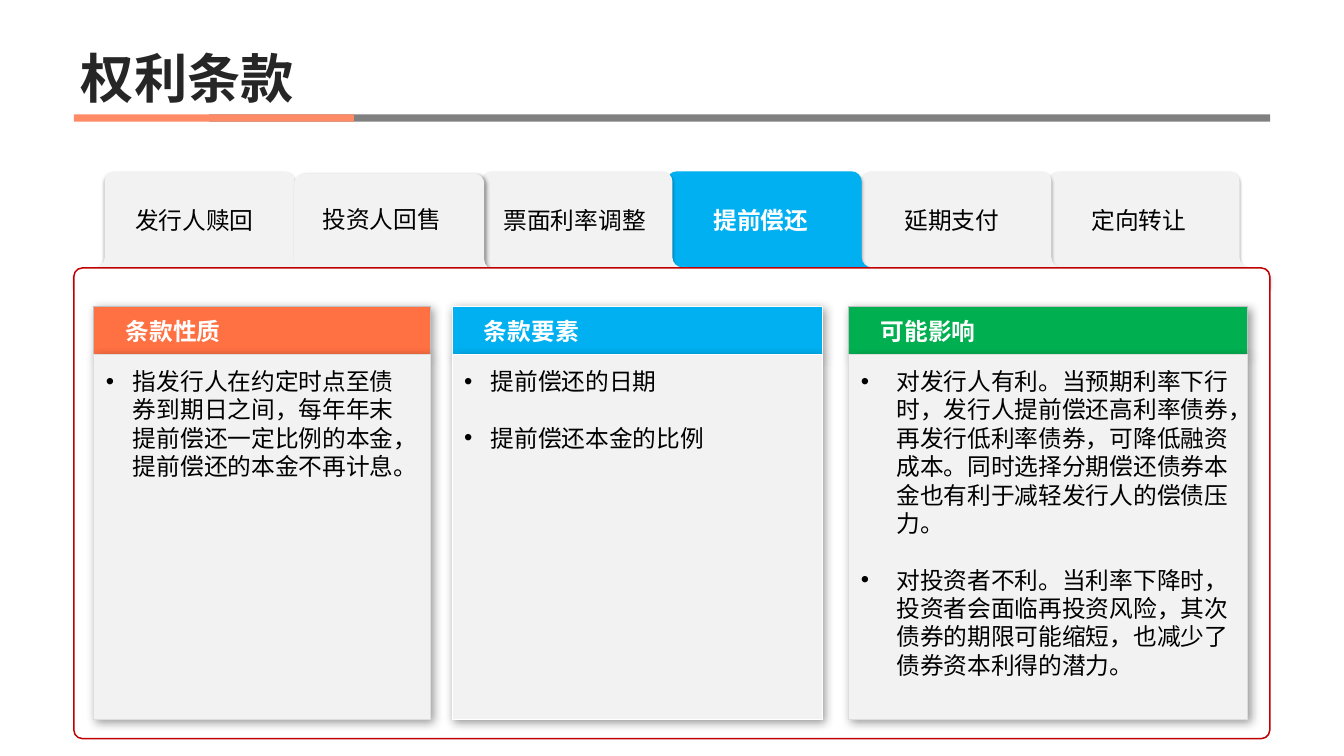
from dataclasses import dataclass

import pptx
import pptx.dml.color
import pptx.enum.lang
import pptx.enum.shapes
import pptx.enum.text
import pptx.oxml
import pptx.oxml.ns
import pptx.util
from lxml import etree

Cm, Pt = pptx.util.Cm, pptx.util.Pt
RGB = pptx.dml.color.RGBColor.from_string
SHAPE = pptx.enum.shapes.MSO_SHAPE
ANCHOR = pptx.enum.text.MSO_ANCHOR
ALIGN = pptx.enum.text.PP_ALIGN
qn = pptx.oxml.ns.qn


@dataclass(frozen=True)
class Theme:
    ink: str = "262626"
    black: str = "000000"
    white: str = "FFFFFF"
    rule: str = "808080"
    accent: str = "FF8A65"
    pale: str = "F2F2F2"
    frame: str = "C00000"
    orange: str = "FF7043"
    blue: str = "00B0F0"
    green: str = "00B050"
    head_line: str = "C0C0C0"
    body_line: str = "DDDDDD"
    title_size: float = 54
    text_size: float = 24
    leading: float = 28.75
    title_font: str = "Arial"
    head_font: str = "Calibri"
    cjk_font: str = "Noto Sans CJK SC"


theme = Theme()


def write(sp, *paragraphs, font=theme.title_font, size=theme.text_size,
          color=theme.black, bold=False, align=ALIGN.LEFT, anchor=ANCHOR.MIDDLE,
          insets=(0.25, 0.13, 0.25, 0.13), spacing=None, gap=0, bullet_indent=0):
    """Fill a shape with paragraphs; insets are left, top, right, bottom in cm."""
    tf = sp.text_frame
    tf.word_wrap = True
    tf.vertical_anchor = anchor
    tf.margin_left, tf.margin_top, tf.margin_right, tf.margin_bottom = map(Cm, insets)
    for i, text in enumerate(paragraphs):
        p = tf.add_paragraph() if i else tf.paragraphs[0]
        p.alignment = align
        if spacing:
            p.line_spacing = spacing
        if i:
            p.space_before = Pt(gap)
        if bullet_indent:
            pPr = p._p.get_or_add_pPr()
            pPr.set("marL", str(Cm(bullet_indent)))
            pPr.set("indent", str(-Cm(bullet_indent)))
            etree.SubElement(pPr, qn("a:buFont")).set("typeface", "Arial")
            etree.SubElement(pPr, qn("a:buChar")).set("char", "•")
        r = p.add_run()
        r.text = text
        r.font.size = Pt(size)
        r.font.bold = bold
        r.font.color.rgb = RGB(color)
        r.font.name = font
        r.font.language_id = pptx.enum.lang.MSO_LANGUAGE_ID.SIMPLIFIED_CHINESE
        etree.SubElement(r._r.get_or_add_rPr(), qn("a:ea")).set("typeface", theme.cjk_font)


def style(sp, fill, line=None, width=1, shadow=None):
    """Set fill and line; shadow is opacity %, blur pt, distance pt, angle."""
    sp.fill.solid()
    sp.fill.fore_color.rgb = RGB(fill)
    if line:
        sp.line.color.rgb = RGB(line)
        sp.line.width = Pt(width)
    else:
        sp.line.fill.background()
    sp.shadow.inherit = False
    if shadow:
        opacity, blur, distance, angle = shadow
        effects = sp._element.spPr.find(qn("a:effectLst"))
        outer = etree.SubElement(effects, qn("a:outerShdw"), blurRad=str(Pt(blur)),
                                 dist=str(Pt(distance)), dir=str(angle * 60000),
                                 algn="t", rotWithShape="0")
        color = etree.SubElement(outer, qn("a:srgbClr"), val=theme.black)
        etree.SubElement(color, qn("a:alpha"), val=str(opacity * 1000))


prs = pptx.Presentation()
prs.slide_width, prs.slide_height = Cm(48.01), Cm(27)
s = prs.slides.add_slide(prs.slide_layouts[6])
shapes = s.shapes

# Title and its rule
for left, width, color in ((7.47, 37.9, theme.rule), (2.64, 10, theme.accent)):
    bar = shapes.add_shape(SHAPE.RECTANGLE, Cm(left), Cm(4.09), Cm(width), Cm(0.26))
    style(bar, color)
title = shapes.add_textbox(Cm(2.64), Cm(0), Cm(42.72), Cm(4.06))
write(title, "权利条款", size=theme.title_size, color=theme.ink, bold=True,
      anchor=ANCHOR.BOTTOM, spacing=0.9)

# Tabs, back to front: left, top, width, label left, label width, label
TAB_SHADOW = (32, 3.5, 2.2, 90)
FRONT_SHADOW = (40, 4, 3, 45)
tabs = (
    (36.41, 6.12, 8.95, 37.52, 6.32, "定向转让", TAB_SHADOW),
    (29.69, 6.12, 8.95, 30.84, 6.32, "延期支付", TAB_SHADOW),
    (22.74, 6.12, 9.12, 24.02, 6.32, "提前偿还", TAB_SHADOW),
    (16.15, 6.12, 8.95, 17.33, 6.4, "票面利率调整", TAB_SHADOW),
    (2.66, 6.12, 8.95, 3.81, 6.27, "发行人赎回", TAB_SHADOW),
    (9.43, 6.2, 8.95, 10.44, 6.4, "投资人回售", FRONT_SHADOW),
)
ACTIVE = "提前偿还"
TAB_HEIGHT, SHOULDER, RADIUS = 4.14, 3.43, 0.36
ROUNDING = 0.55
half = [
    (0, TAB_HEIGHT), (0, SHOULDER + RADIUS),
    (RADIUS, SHOULDER), (2 * RADIUS, SHOULDER),
    (3 * RADIUS, SHOULDER - RADIUS), (3 * RADIUS, RADIUS),
    (4 * RADIUS, 0),
]

for left, top, width, _, _, label, shadow in tabs:
    outline = half + [(width - x, y) for x, y in reversed(half)]
    points = [(Cm(left + x), Cm(top + y)) for x, y in outline]
    builder = shapes.build_freeform(*points[0])
    builder.add_line_segments(points[1:], close=True)
    tab = builder.convert_to_shape()
    style(tab, theme.blue if label == ACTIVE else theme.pale, shadow=shadow)
    # Every second segment is a corner: turn it into a curve
    segments = list(tab._element.iter(qn("a:lnTo")))
    for i in range(1, 12, 2):
        start, end = segments[i - 1][-1], segments[i][0]
        ax, ay, bx, by = (int(pt.get(k)) for pt in (start, end) for k in "xy")
        cx, cy = (ax, by) if i % 4 == 1 else (bx, ay)
        curve = etree.Element(qn("a:cubicBezTo"))
        for x, y in ((ax, ay), (bx, by)):
            etree.SubElement(curve, qn("a:pt"), x=str(round(x + ROUNDING * (cx - x))),
                             y=str(round(y + ROUNDING * (cy - y))))
        curve.append(end)
        segments[i].getparent().replace(segments[i], curve)

panel = shapes.add_shape(SHAPE.ROUNDED_RECTANGLE, Cm(2.64), Cm(9.57), Cm(42.72), Cm(16.81))
panel.adjustments[0] = 0.018
style(panel, theme.white, theme.frame, 1.5)

for _, _, _, left, width, label, shadow in tabs:
    height = 3.38 if shadow == FRONT_SHADOW else 3.45
    box = shapes.add_textbox(Cm(left), Cm(6.12), Cm(width), Cm(height))
    active = label == ACTIVE
    write(box, label, color=theme.white if active else theme.black, bold=active,
          align=ALIGN.CENTER)

# Cards: left, width, colour, header line, body line, indent, heading, points
cards = (
    (3.35, 12.03, theme.orange, theme.head_line, theme.body_line, 0.97, "条款性质",
     ("指发行人在约定时点至债券到期日之间，每年年末提前偿还一定比例的本金，"
      "提前偿还的本金不再计息。",)),
    (16.15, 13.23, theme.blue, theme.white, theme.white, 0.95, "条款要素",
     ("提前偿还的日期", "提前偿还本金的比例")),
    (30.32, 14.26, theme.green, theme.head_line, theme.body_line, 1.27, "可能影响",
     ("对发行人有利。当预期利率下行时，发行人提前偿还高利率债券，再发行低利率债券，"
      "可降低融资成本。同时选择分期偿还债券本金也有利于减轻发行人的偿债压力。",
      "对投资者不利。当利率下降时，投资者会面临再投资风险，其次债券的期限可能缩短，"
      "也减少了债券资本利得的潜力。")),
)
CARD_SHADOW = (40, 10, 3, 45)
for left, width, color, head_line, body_line, indent, heading, items in cards:
    head = shapes.add_shape(SHAPE.RECTANGLE, Cm(left), Cm(10.95), Cm(width), Cm(1.72))
    style(head, color, head_line, shadow=CARD_SHADOW)
    write(head, heading, font=theme.head_font, color=theme.white, bold=True,
          insets=(1.14, 0, 0, 0))
    body = shapes.add_shape(SHAPE.RECTANGLE, Cm(left), Cm(12.67), Cm(width), Cm(13.03))
    style(body, theme.pale, body_line, shadow=CARD_SHADOW)
    write(body, *items, font=theme.cjk_font, anchor=ANCHOR.TOP,
          insets=(0.43, 0.43, 0.56, 0.28), spacing=Pt(theme.leading),
          gap=theme.leading, bullet_indent=indent)

prs.save("out.pptx")
